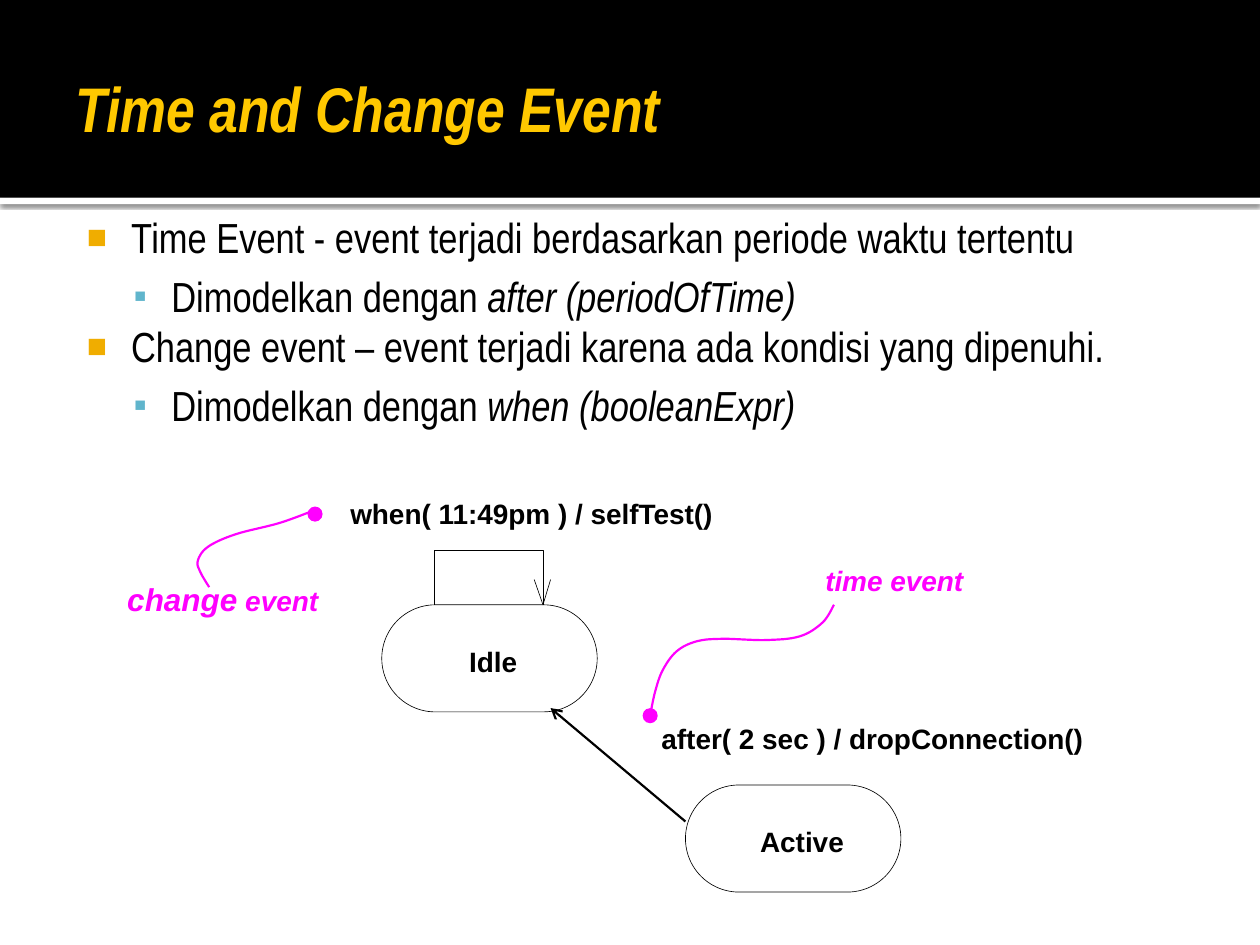
from dataclasses import dataclass

from lxml import etree
from pptx import Presentation
from pptx.dml.color import RGBColor
from pptx.enum.shapes import MSO_CONNECTOR, MSO_SHAPE
from pptx.enum.text import MSO_ANCHOR, MSO_AUTO_SIZE, PP_ALIGN
from pptx.oxml import parse_xml
from pptx.oxml.ns import nsdecls, qn
from pptx.util import Inches, Pt

RECT, PILL, DOT = MSO_SHAPE.RECTANGLE, MSO_SHAPE.ROUNDED_RECTANGLE, MSO_SHAPE.OVAL
STRAIGHT = MSO_CONNECTOR.STRAIGHT
TOP, MIDDLE = MSO_ANCHOR.TOP, MSO_ANCHOR.MIDDLE
LEFT, CENTER = PP_ALIGN.LEFT, PP_ALIGN.CENTER
NO_FIT = MSO_AUTO_SIZE.NONE


@dataclass(frozen=True)
class Theme:
    black: str = "000000"
    white: str = "FFFFFF"
    gold: str = "FFC800"
    note: str = "FF00FF"
    bullets: tuple = (("■", "F0AD00", 80, 0.48, 0.35), ("▪", "60B5CC", 90, 0.8, 0.3))
    head_font: str = "Arial Narrow"
    label_font: str = "Arial"
    title: int = 36
    body: int = 24
    label: int = 16
    big: int = 18
    thin: float = 0.38
    thick: float = 1.25


T = Theme()


def rgb(code):
    return RGBColor.from_string(code)


def style(font, name, size, color, bold=False, italic=False):
    font.name, font.size = name, Pt(size)
    font.bold, font.italic = bold, italic
    font.color.rgb = rgb(color)


def set_frame(frame, insets, anchor=TOP, wrap=True):
    frame.margin_left, frame.margin_top, frame.margin_right, frame.margin_bottom = map(Inches, insets)
    frame.vertical_anchor, frame.word_wrap = anchor, wrap
    frame.auto_size = NO_FIT


def place(shape, left, top, width, height):
    shape.left, shape.top = Inches(left), Inches(top)
    shape.width, shape.height = Inches(width), Inches(height)


def paint(shape, fill=None, line=None, weight=T.thin):
    shape.shadow.inherit = False
    if fill:
        shape.fill.solid()
        shape.fill.fore_color.rgb = rgb(fill)
    else:
        shape.fill.background()
    if line:
        shape.line.color.rgb = rgb(line)
        shape.line.width = Pt(weight)
    else:
        shape.line.fill.background()


def add_block(slide, kind, box, fill, line=None):
    shape = slide.shapes.add_shape(kind, *map(Inches, box))
    paint(shape, fill, line)
    return shape


def add_band(slide, top, height, fill):
    """Add a full-width band behind everything else."""
    band = add_block(slide, RECT, (0, top, 10, height), fill)
    slide.shapes._spTree.insert(2, band._element)
    return band


def cast_shadow(shape):
    glow = parse_xml(
        f'<a:outerShdw {nsdecls("a")} blurRad="{Pt(2.5)}" dist="{Pt(0.8)}" dir="5400000" rotWithShape="0">'
        f'<a:srgbClr val="{T.black}"><a:alpha val="60000"/></a:srgbClr></a:outerShdw>')
    shape._element.spPr.find(qn("a:effectLst")).append(glow)


def set_bullet(para, level):
    char, color, size, indent, hang = T.bullets[level]
    props = para._p.get_or_add_pPr()
    props.set("marL", str(Inches(indent)))
    props.set("indent", str(-Inches(hang)))
    tint = etree.SubElement(props, qn("a:buClr"))
    etree.SubElement(tint, qn("a:srgbClr"), val=color)
    etree.SubElement(props, qn("a:buSzPct"), val=str(size * 1000))
    etree.SubElement(props, qn("a:buChar"), char=char)


def fill_title(shape, text):
    place(shape, 0.5, 0.17, 9, 1.37)
    set_frame(shape.text_frame, (0.1, 0.05, 0.05, 0.05), MIDDLE)
    para = shape.text_frame.paragraphs[0]
    para.text, para.alignment = text, LEFT
    style(para.font, T.head_font, T.title, T.gold, True, True)


def fill_body(shape, items):
    """Write (level, plain text, italic text) items as a bulleted list."""
    place(shape, 0.5, 1.58, 9, 4.95)
    frame = shape.text_frame
    set_frame(frame, (0.06, 0.1, 0.1, 0.05))
    for i, (level, plain, slanted) in enumerate(items):
        para = frame.add_paragraph() if i else frame.paragraphs[0]
        para.level = level
        para.space_before = Pt(0.2 * T.body * level)
        set_bullet(para, level)
        style(para.font, T.head_font, T.body, T.black)
        para.add_run().text = plain
        if slanted:
            run = para.add_run()
            run.text, run.font.italic = slanted, True


def add_label(slide, box, *parts, color=T.black, italic=False):
    """Add a one-line label; of two parts, the first is larger."""
    frame = slide.shapes.add_textbox(*map(Inches, box)).text_frame
    set_frame(frame, (0, 0, 0, 0), wrap=False)
    para = frame.paragraphs[0]
    style(para.font, T.label_font, T.label, color, True, italic)
    for part in parts:
        para.add_run().text = part
    if len(parts) > 1:
        para.runs[0].font.size = Pt(T.big)


def add_state(slide, left, top, name, shift):
    pill = add_block(slide, PILL, (left, top, 1.71, 0.85), T.white, T.black)
    pill.adjustments[0] = 0.5
    set_frame(pill.text_frame, (shift, 0.05, 0, 0), MIDDLE)
    para = pill.text_frame.paragraphs[0]
    para.text, para.alignment = name, CENTER
    style(para.font, T.label_font, T.label, T.black, True)


def add_path(slide, points, color=T.black, weight=T.thin):
    start, *rest = [(Inches(x), Inches(y)) for x, y in points]
    pen = slide.shapes.build_freeform(*start)
    pen.add_line_segments(rest, close=False)
    paint(pen.convert_to_shape(), line=color, weight=weight)


def smooth(knots, steps=8):
    """Return points of a Catmull-Rom curve through the knots."""
    ends = [knots[0], *knots, knots[-1]]
    points = [knots[0]]
    for a, b, c, d in zip(ends, ends[1:], ends[2:], ends[3:]):
        for t in (n / steps for n in range(1, steps + 1)):
            points.append(tuple(
                q + t * (r - p) / 2 + t**2 * (p - 2.5 * q + 2 * r - s / 2)
                + t**3 * (1.5 * (q - r) + (s - p) / 2)
                for p, q, r, s in zip(a, b, c, d)))
    return points


def add_lead(slide, knots, dot):
    """Add a curved note line and the dot, centred at dot, that ends it."""
    add_path(slide, smooth(knots), T.note, T.thick)
    x, y = dot
    add_block(slide, DOT, (x - 0.06, y - 0.06, 0.12, 0.12), T.note)


def add_arrow(slide, start, end):
    line = slide.shapes.add_connector(STRAIGHT, *map(Inches, (*start, *end)))
    line.line.color.rgb = rgb(T.black)
    line.line.width = Pt(T.thick)
    etree.SubElement(line.line._get_or_add_ln(), qn("a:tailEnd"), type="arrow")
    etree.SubElement(line._element.spPr, qn("a:effectLst"))


def main():
    deck = Presentation()
    deck.slide_width, deck.slide_height = Inches(10), Inches(7.5)
    slide = deck.slides.add_slide(deck.slide_layouts[1])
    title, body = slide.placeholders
    add_band(slide, 0, 1.57, T.black)
    cast_shadow(add_band(slide, 1.57, 0.05, T.white))
    fill_title(title, "Time and Change Event")
    fill_body(body, [
        (0, "Time Event - event terjadi berdasarkan periode waktu tertentu", ""),
        (1, "Dimodelkan dengan ", "after (periodOfTime)"),
        (0, "Change event – event terjadi karena ada kondisi yang dipenuhi.", ""),
        (1, "Dimodelkan dengan ", "when (booleanExpr)")])

    add_state(slide, 3.03, 4.8, "Idle", 0.06)
    add_state(slide, 5.44, 6.23, "Active", 0.14)
    add_path(slide, [(3.45, 4.8), (3.45, 4.37), (4.31, 4.37), (4.31, 4.8)])
    add_path(slide, [(4.24, 4.6), (4.31, 4.8), (4.37, 4.6)])
    add_arrow(slide, (5.44, 6.52), (4.37, 5.62))

    add_label(slide, (2.78, 3.94, 2.92, 0.27), "when( 11:49pm ) / selfTest()")
    add_label(slide, (5.25, 5.73, 3.36, 0.27), "after( 2 sec ) / dropConnection()")
    add_label(slide, (6.55, 4.47, 1.1, 0.27), "time event", color=T.note, italic=True)
    add_label(slide, (1.01, 4.6, 1.52, 0.3), "change", " event", color=T.note, italic=True)
    add_lead(slide, [(1.66, 4.66), (1.59, 4.54), (1.57, 4.45), (1.65, 4.34), (1.87, 4.24),
                     (2.22, 4.15), (2.52, 4.04)], (2.5, 4.08))
    add_lead(slide, [(6.62, 4.8), (6.53, 4.94), (6.35, 5.05), (6.08, 5.08), (5.74, 5.07), (5.53, 5.09),
                     (5.37, 5.17), (5.26, 5.32), (5.2, 5.49), (5.16, 5.68)], (5.16, 5.68))
    deck.save("out.pptx")


if __name__ == "__main__":
    main()
